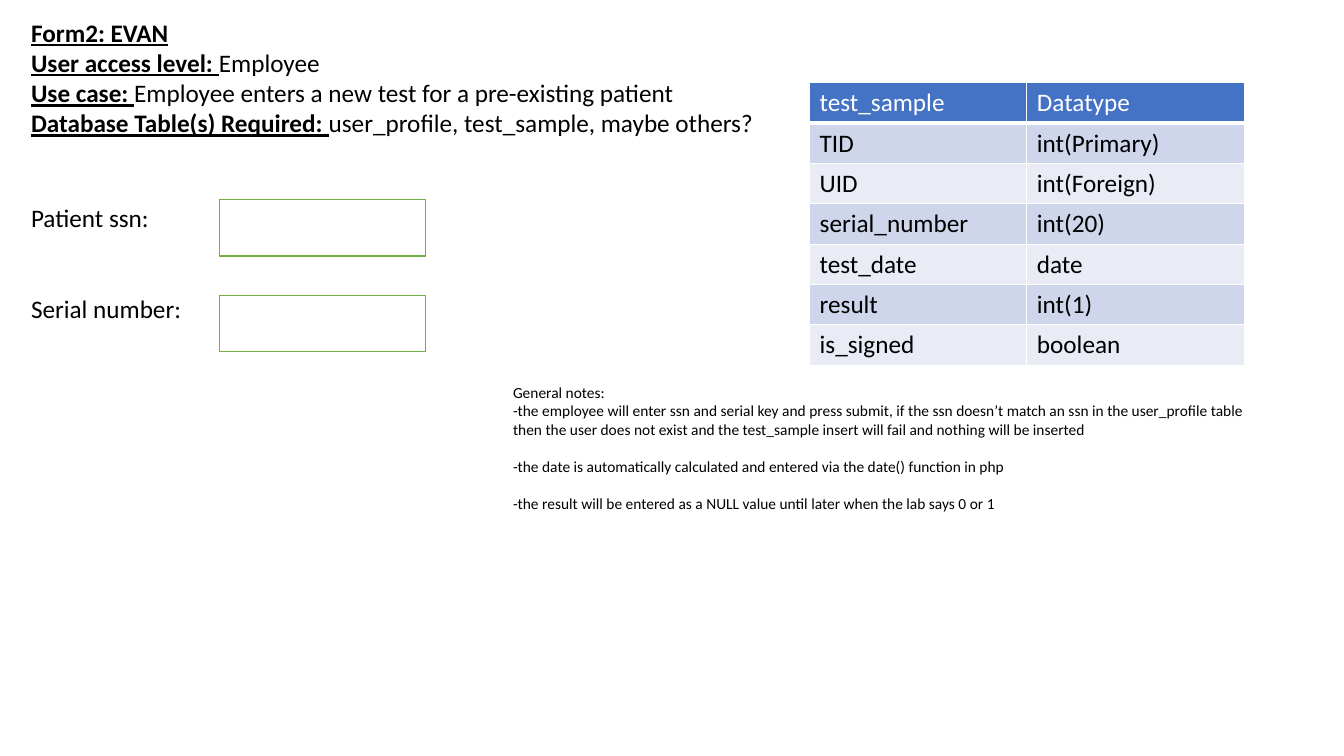
from lxml import etree
from pptx import Presentation
from pptx.dml.color import RGBColor
from pptx.enum.shapes import MSO_SHAPE
from pptx.enum.text import MSO_AUTO_SIZE
from pptx.oxml.ns import qn
from pptx.util import Inches, Pt

RECTANGLE = MSO_SHAPE.RECTANGLE
GROW = MSO_AUTO_SIZE.SHAPE_TO_FIT_TEXT
FONT = "Calibri"
BLACK = RGBColor(0x00, 0x00, 0x00)
WHITE = RGBColor(0xFF, 0xFF, 0xFF)
BLUE = RGBColor(0x44, 0x72, 0xC4)
GREEN = RGBColor(0x70, 0xAD, 0x47)
BANDS = (RGBColor(0xCF, 0xD5, 0xEA), RGBColor(0xE9, 0xEB, 0xF5))

HEADING = [
    ("Form2: EVAN", ""),
    ("User access level: ", "Employee"),
    ("Use case: ", "Employee enters a new test for a pre-existing patient"),
    ("Database Table(s) Required: ", "user_profile, test_sample, maybe others? "),
]
FIELDS = ["Patient ssn:", "Serial number:"]
COLUMNS = [
    ("test_sample", "Datatype"),
    ("TID", "int(Primary)"),
    ("UID", "int(Foreign)"),
    ("serial_number", "int(20)"),
    ("test_date", "date"),
    ("result", "int(1)"),
    ("is_signed", "boolean"),
]
NOTES = [
    "-the employee will enter ssn and serial key and press submit, if the ssn "
    "doesn\u2019t match an ssn in the user_profile table then the user does not "
    "exist and the test_sample insert will fail and nothing will be inserted",
    "-the date is automatically calculated and entered via the date() function in php",
    "-the result will be entered as a NULL value until later when the lab says 0 or 1",
]


def add_run(p, text, size=18, color=BLACK, label=False):
    """Add a run; a label is bold and underlined."""
    r = p.add_run()
    r.text = text
    r.font.name = FONT
    r.font.size = Pt(size)
    r.font.color.rgb = color
    r.font.bold = r.font.underline = label


def add_text(s, x, y, w, h, paragraphs, size=18):
    """Add a text box from (space before, [(text, is label), ...]) paragraphs."""
    tf = s.shapes.add_textbox(Inches(x), Inches(y), Inches(w), Inches(h)).text_frame
    tf.word_wrap = True
    tf.auto_size = GROW
    for i, (gap, runs) in enumerate(paragraphs):
        p = tf.paragraphs[0] if i == 0 else tf.add_paragraph()
        p.space_before = Pt(gap)
        for text, label in runs:
            add_run(p, text, size, label=label)


def add_input(s, x, y, w, h):
    """Add an empty form input."""
    sp = s.shapes.add_shape(RECTANGLE, Inches(x), Inches(y), Inches(w), Inches(h))
    sp.shadow.inherit = False
    sp.fill.solid()
    sp.fill.fore_color.rgb = WHITE
    sp.line.color.rgb = GREEN
    sp.line.width = Pt(1)


def set_borders(cell, bottom):
    """Give a cell white 1 pt borders and a bottom border of its own width."""
    tc_pr = cell._tc.get_or_add_tcPr()
    for side, width in (("L", 1), ("R", 1), ("T", 1), ("B", bottom)):
        ln = etree.SubElement(tc_pr, qn(f"a:ln{side}"), w=str(Pt(width)))
        fill = etree.SubElement(ln, qn("a:solidFill"))
        etree.SubElement(fill, qn("a:srgbClr"), val=str(WHITE))


def add_schema(s, x, y, w, h, rows):
    """Add the table with a blue header and banded rows."""
    table = s.shapes.add_table(len(rows), len(rows[0]), Inches(x), Inches(y),
                               Inches(w), Inches(h)).table
    for i, values in enumerate(rows):
        header = i == 0
        for j, text in enumerate(values):
            cell = table.cell(i, j)
            set_borders(cell, 3 if header else 1)
            cell.fill.solid()
            cell.fill.fore_color.rgb = BLUE if header else BANDS[(i - 1) % 2]
            add_run(cell.text_frame.paragraphs[0], text,
                    color=WHITE if header else BLACK)


def main():
    """Build the form slide."""
    prs = Presentation()
    prs.slide_width, prs.slide_height = Inches(13.33), Inches(7.5)
    s = prs.slides.add_slide(prs.slide_layouts[6])

    heading = [(0, [(label, True)] + ([(value, False)] if value else []))
               for label, value in HEADING]
    add_text(s, 0.21, 0.12, 9.14, 1.31, heading)
    add_schema(s, 8.03, 0.82, 4.31, 2.8, COLUMNS)

    fields = [(43 * i, [(field, False)]) for i, field in enumerate(FIELDS)]
    add_text(s, 0.21, 1.96, 7.54, 1.92, fields)
    for i in range(len(FIELDS)):
        add_input(s, 2.18, 1.98 + 0.95 * i, 2.04, 0.56)

    notes = [(0, [("General notes:", False)])]
    notes += [(13.4 if i else 0, [(note, False)]) for i, note in enumerate(NOTES)]
    add_text(s, 4.99, 3.75, 7.54, 1.4, notes, size=11)
    prs.save("out.pptx")


main()
